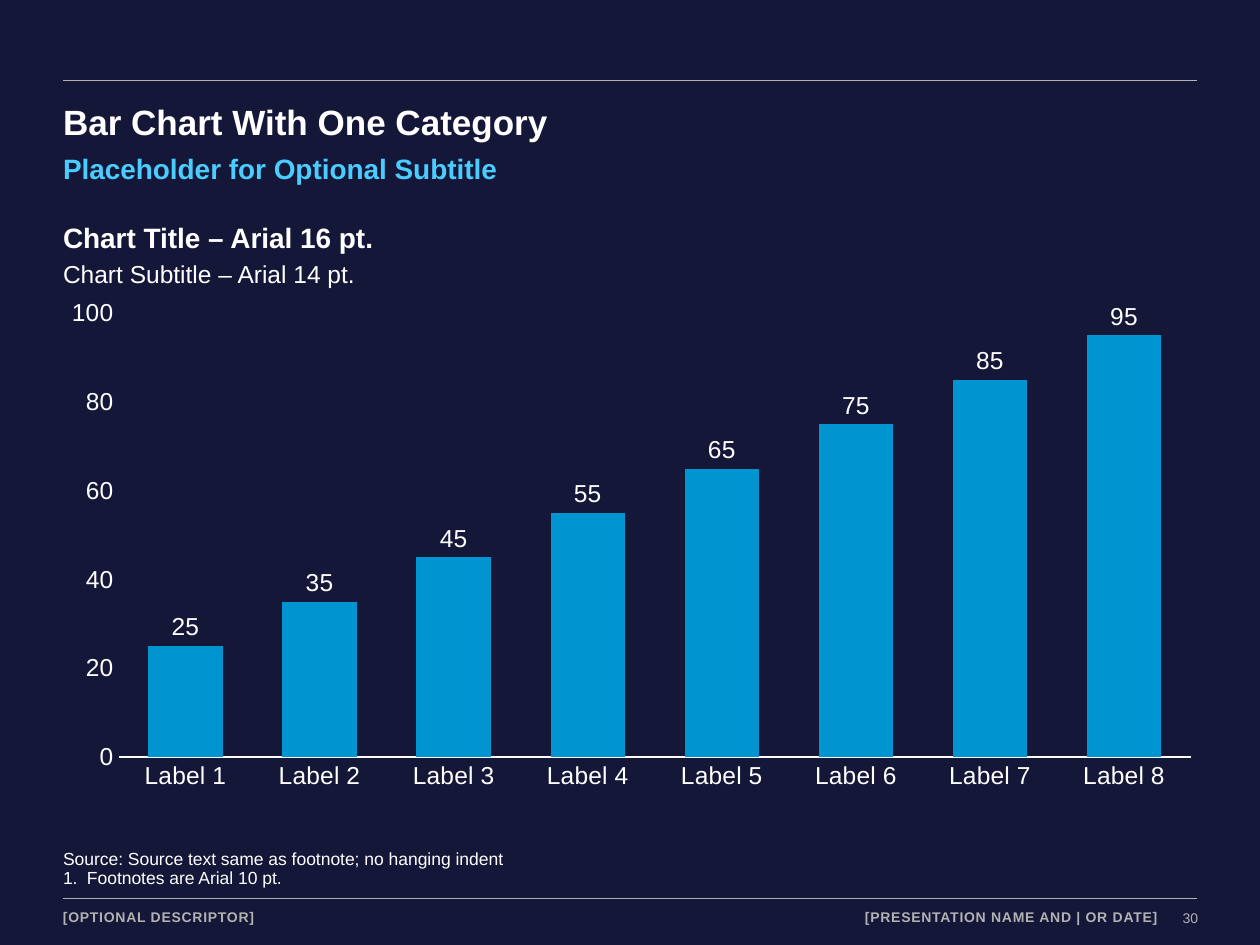
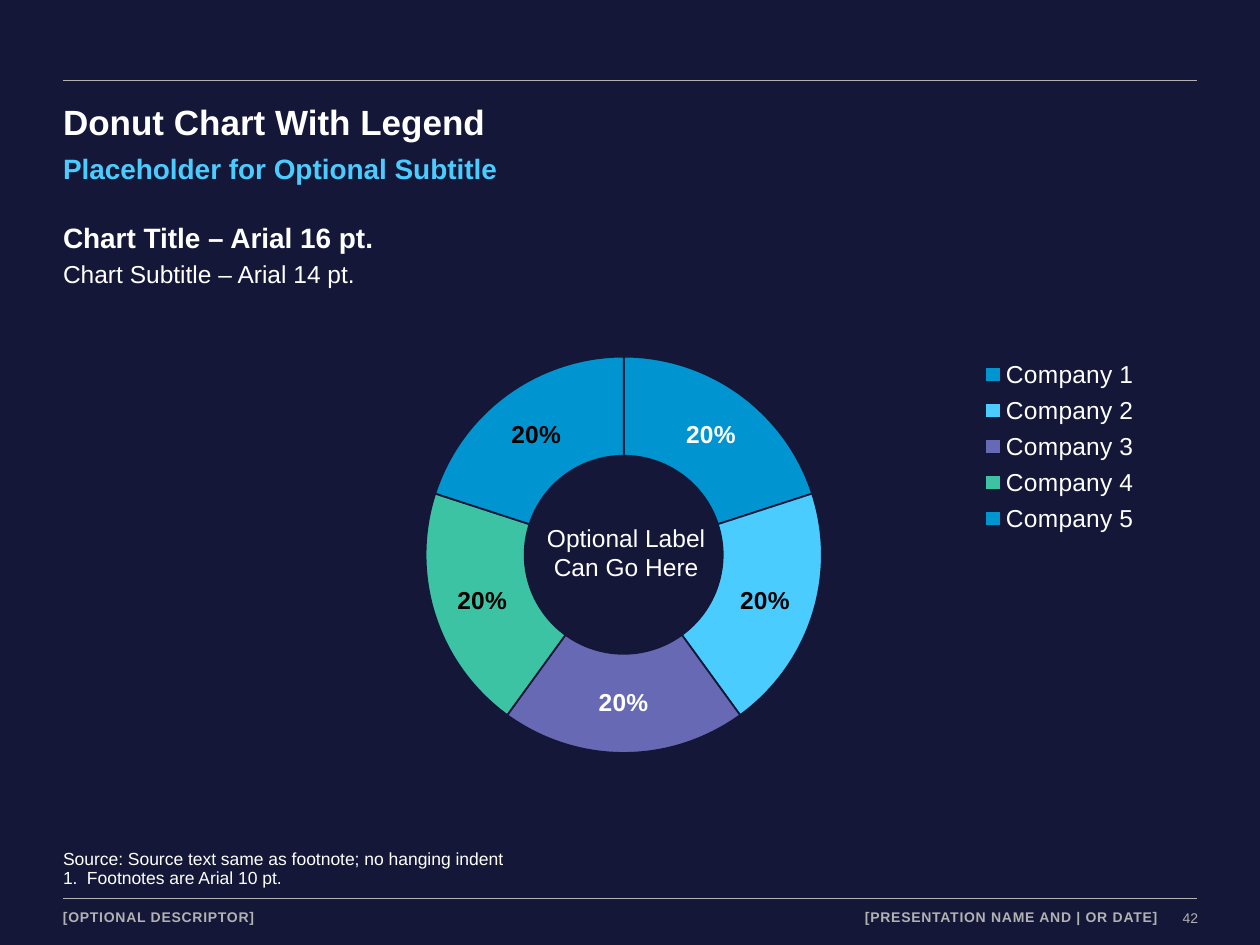
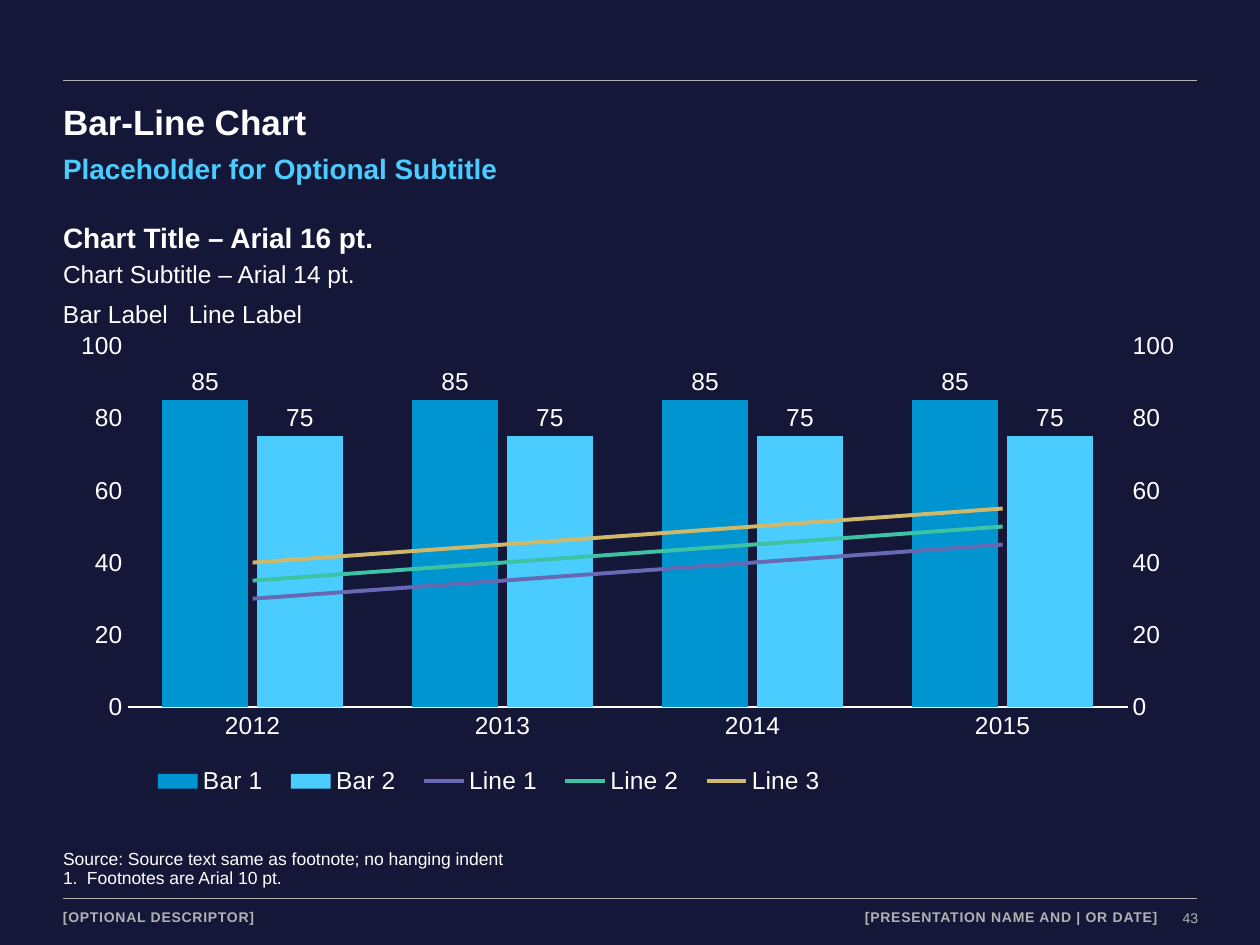
"""Build three dark chart slides: columns, a donut, and columns with lines."""
import copy

import lxml.etree
import pptx
import pptx.chart.data
import pptx.dml.color
import pptx.enum.chart
import pptx.enum.shapes
import pptx.enum.text
import pptx.oxml
import pptx.oxml.ns
import pptx.util

Inches = pptx.util.Inches
Pt = pptx.util.Pt
RGB = pptx.dml.color.RGBColor
qn = pptx.oxml.ns.qn
Kind = pptx.enum.chart.XL_CHART_TYPE
Place = pptx.enum.chart.XL_LEGEND_POSITION
Tick = pptx.enum.chart.XL_TICK_MARK
Align = pptx.enum.text.PP_ALIGN

NAVY = RGB(0x14, 0x17, 0x38)
GRAY = RGB(0xB2, 0xB2, 0xB2)
WHITE = RGB(0xFF, 0xFF, 0xFF)
BLACK = RGB(0, 0, 0)
BLUE = RGB(0x00, 0x95, 0xD0)
SKY = RGB(0x4B, 0xCC, 0xFF)
VIOLET = RGB(0x67, 0x69, 0xB5)
GREEN = RGB(0x3B, 0xC3, 0xA3)
GOLD = RGB(0xD0, 0xB8, 0x6A)
FONT = "Arial"

LEFT, RIGHT, WIDE = 0.5, 9.5, 8.99
RULES = (0.64, 7.13)
CHART_BOX = (LEFT, 2.3, WIDE, 4.15)
NOTES = ["Source: Source text same as footnote; no hanging indent",
         "Footnotes are Arial 10 pt."]

COLUMNS = {
    "title": "Bar Chart With One Category", "page": 30,
    "cats": [f"Label {n}" for n in range(1, 9)],
    "bars": [("Series 1", range(25, 100, 10), BLUE)], "lines": [],
    "plot": (0.049, 0.045, 0.947, 0.849), "axis": 0.75,
}
DONUT = {
    "title": "Donut Chart With Legend", "page": 42,
    "cats": [f"Company {n}" for n in range(1, 6)],
    "slices": [(20, BLUE, WHITE), (20, SKY, BLACK), (20, VIOLET, WHITE),
               (20, GREEN, BLACK), (20, BLUE, BLACK)],
    "plot": (0.316, 0.128, 0.358, 0.758), "legend": (0.775, 0.12, 0.21, 0.36),
    "label": "Optional Label Can Go Here",
}
COMBO = {
    "title": "Bar-Line Chart", "page": 43,
    "cats": ["2012", "2013", "2014", "2015"],
    "bars": [("Bar 1", [85] * 4, BLUE), ("Bar 2", [75] * 4, SKY)],
    "lines": [("Line 1", range(30, 50, 5), VIOLET),
              ("Line 2", range(35, 55, 5), GREEN),
              ("Line 3", range(40, 60, 5), GOLD)],
    "plot": (0.057, 0.108, 0.883, 0.69), "axis": 1.5,
    "legend": (0.066, 0.89, 0.62, 0.1), "label": "Bar Label\tLine Label",
}


def add_text(slide, box, text, size, color=WHITE, bold=False, align=None,
             space=None, track=None):
    """Add a text box without margins and return its frame."""
    frame = slide.shapes.add_textbox(*map(Inches, box)).text_frame
    frame.margin_left = frame.margin_right = 0
    frame.margin_top = frame.margin_bottom = 0
    frame.word_wrap = True
    frame.text = text
    for para in frame.paragraphs:
        para.alignment = align
        para.line_spacing = space
        for run in para.runs:
            font = run.font
            font.name, font.size, font.bold = FONT, Pt(size), bold
            font.color.rgb = color
            if track:
                run._r.get_or_add_rPr().set("spc", str(track))
    return frame


def add_notes(slide):
    """Add the source line and the numbered footnote."""
    frame = add_text(slide, (LEFT, 6.75, WIDE, 0.32), "\n".join(NOTES), 10,
                     space=0.9)
    frame.vertical_anchor = pptx.enum.text.MSO_ANCHOR.BOTTOM
    frame.margin_bottom = Inches(0.02)
    props = frame.paragraphs[1]._p.get_or_add_pPr()
    props.set("marL", str(Inches(0.19)))
    props.set("indent", str(-Inches(0.19)))
    lxml.etree.SubElement(props, qn("a:buAutoNum"), type="arabicPeriod")


def add_frame(deck, data):
    """Add a slide with its rules, footer, headings and notes."""
    slide = deck.slides.add_slide(deck.slide_layouts[6])
    for y in RULES:
        rule = slide.shapes.add_connector(
            pptx.enum.shapes.MSO_CONNECTOR.STRAIGHT,
            Inches(LEFT), Inches(y), Inches(RIGHT), Inches(y))
        rule.line.color.rgb, rule.line.width = GRAY, Pt(1)
        lxml.etree.SubElement(rule._element.spPr, qn("a:effectLst"))
    add_text(slide, (9.37, 7.22, 0.14, 0.13), str(data["page"]), 8, GRAY,
             align=Align.RIGHT)
    add_text(slide, (LEFT, 7.21, 3.1, 0.15), "[OPTIONAL DESCRIPTOR]", 8, GRAY,
             True, track=40)
    add_text(slide, (5.19, 7.21, 4, 0.15), "[PRESENTATION NAME AND | OR DATE]",
             8, GRAY, True, Align.RIGHT, track=40)
    add_text(slide, (LEFT, 0.8, WIDE, 0.34), data["title"], 20, bold=True)
    add_text(slide, (LEFT, 1.2, WIDE, 0.27), "Placeholder for Optional Subtitle",
             16, SKY, True)
    add_text(slide, (LEFT, 1.7, 7.05, 0.35), "Chart Title – Arial 16 pt.", 16,
             bold=True, space=1.2)
    add_text(slide, (LEFT, 2.01, 7.05, 0.31), "Chart Subtitle – Arial 14 pt.",
             14, space=1.2)
    add_notes(slide)
    return slide


def make_layout(box, inner=False):
    """Return a manual chart layout for a box given in shares."""
    layout = pptx.oxml.parse_xml(
        f'<c:layout {pptx.oxml.ns.nsdecls("c")}><c:manualLayout/></c:layout>')
    parts = [("layoutTarget", "inner")] if inner else []
    parts += [("xMode", "edge"), ("yMode", "edge"), *zip("xywh", box)]
    for tag, val in parts:
        lxml.etree.SubElement(layout[0], qn(f"c:{tag}"), val=str(val))
    return layout


def add_chart(slide, kind, data, series):
    """Add a chart with its font, plot place and legend."""
    feed = pptx.chart.data.CategoryChartData()
    feed.categories = data["cats"]
    for name, vals in series:
        feed.add_series(name, vals)
    chart = slide.shapes.add_chart(kind, *map(Inches, CHART_BOX), feed).chart
    chart.has_title = False
    chart.font.name, chart.font.size = FONT, Pt(14)
    chart.font.color.rgb = WHITE
    area = chart._chartSpace.chart.plotArea
    for old in area.findall(qn("c:layout")):
        area.remove(old)
    area.insert(0, make_layout(data["plot"], True))
    chart.has_legend = "legend" in data
    if chart.has_legend:
        legend = chart.legend
        donut = kind == Kind.DOUGHNUT
        legend.position = Place.RIGHT if donut else Place.BOTTOM
        legend.include_in_layout = donut
        root = legend._element
        for old in root.findall(qn("c:layout")):
            root.remove(old)
        root.find(qn("c:legendPos")).addnext(make_layout(data["legend"]))
    return chart


def split_lines(chart, count):
    """Move the series after the first count to lines on a right axis."""
    area = chart._chartSpace.chart.plotArea
    bars = area.find(qn("c:barChart"))
    lines = pptx.oxml.parse_xml(
        f'<c:lineChart {pptx.oxml.ns.nsdecls("c")}>'
        '<c:grouping val="standard"/><c:varyColors val="0"/></c:lineChart>')
    for ser in bars.findall(qn("c:ser"))[count:]:
        for flag in ser.findall(qn("c:invertIfNegative")):
            ser.remove(flag)
        lines.append(ser)
    lxml.etree.SubElement(lines, qn("c:marker"), val="1")
    bars.addnext(lines)
    cat, val = (copy.deepcopy(area.find(qn(f"c:{tag}")))
                for tag in ("catAx", "valAx"))
    for axis, own, other in ((cat, "5001", "5002"), (val, "5002", "5001")):
        axis.find(qn("c:axId")).set("val", own)
        axis.find(qn("c:crossAx")).set("val", other)
        lxml.etree.SubElement(lines, qn("c:axId"), val=own)
    cat.find(qn("c:delete")).set("val", "1")
    val.find(qn("c:axPos")).set("val", "r")
    val.find(qn("c:crosses")).set("val", "max")
    area.find(qn("c:valAx")).addnext(val)
    val.addnext(cat)


def add_columns(slide, data):
    """Add labelled columns, with lines where the data has them."""
    bars, lines = data["bars"], data["lines"]
    chart = add_chart(slide, Kind.COLUMN_CLUSTERED, data,
                      [(name, vals) for name, vals, _ in bars + lines])
    cat, val = chart.category_axis, chart.value_axis
    for axis in (cat, val):
        axis.has_major_gridlines = False
        axis.major_tick_mark = axis.minor_tick_mark = Tick.NONE
    cat.format.line.color.rgb = WHITE
    cat.format.line.width = Pt(data["axis"])
    val.format.line.fill.background()
    val.minimum_scale, val.maximum_scale, val.major_unit = 0, 100, 20
    plot = chart.plots[0]
    plot.gap_width, plot.vary_by_categories = 80, False
    if lines:
        plot.overlap = -10
        split_lines(chart, len(bars))
        for ser, (_, _, color) in zip(chart.plots[1].series, lines):
            ser.smooth = False
            ser.marker.style = pptx.enum.chart.XL_MARKER_STYLE.NONE
            ser.format.line.color.rgb = color
            ser.format.line.width = Pt(2.25)
    for ser, (_, _, color) in zip(plot.series, bars):
        ser.format.fill.solid()
        ser.format.fill.fore_color.rgb = color
        ser.data_labels.show_value = True
        ser.data_labels.position = pptx.enum.chart.XL_LABEL_POSITION.OUTSIDE_END


def add_donut(slide, data):
    """Add a donut with one colour and one label for each slice."""
    slices = data["slices"]
    chart = add_chart(slide, Kind.DOUGHNUT, data,
                      [("Series 1", [val for val, _, _ in slices])])
    ser = chart.plots[0].series[0]
    labels = ser.data_labels
    labels.show_value, labels.show_percentage = False, True
    labels.number_format, labels.number_format_is_linked = "0%", False
    labels.font.bold, labels.font.color.rgb = True, WHITE
    for spot, (_, color, ink) in enumerate(slices):
        point = ser.points[spot]
        point.format.fill.solid()
        point.format.fill.fore_color.rgb = color
        point.format.line.color.rgb = NAVY
        point.format.line.width = Pt(1)
        font = point.data_label.font
        font.name, font.size, font.bold = FONT, Pt(14), True
        font.color.rgb = ink
    for tag, val in (("showVal", "0"), ("showPercent", "1")):
        for flag in ser._element.iter(qn(f"c:{tag}")):
            flag.set("val", val)
    for hole in chart._chartSpace.iter(qn("c:holeSize")):
        hole.set("val", "65")


def main():
    """Build and save the deck."""
    deck = pptx.Presentation()
    deck.slide_width, deck.slide_height = Inches(10), Inches(7.5)
    fill = deck.slide_master.background.fill
    fill.solid()
    fill.fore_color.rgb = NAVY

    add_columns(add_frame(deck, COLUMNS), COLUMNS)

    slide = add_frame(deck, DONUT)
    add_donut(slide, DONUT)
    add_text(slide, (4.32, 4.15, 1.3, 0.47), DONUT["label"], 14,
             align=Align.CENTER)

    slide = add_frame(deck, COMBO)
    add_columns(slide, COMBO)
    add_text(slide, (LEFT, 2.37, 9, 0.24), COMBO["label"], 14)

    deck.save("out.pptx")


if __name__ == "__main__":
    main()
